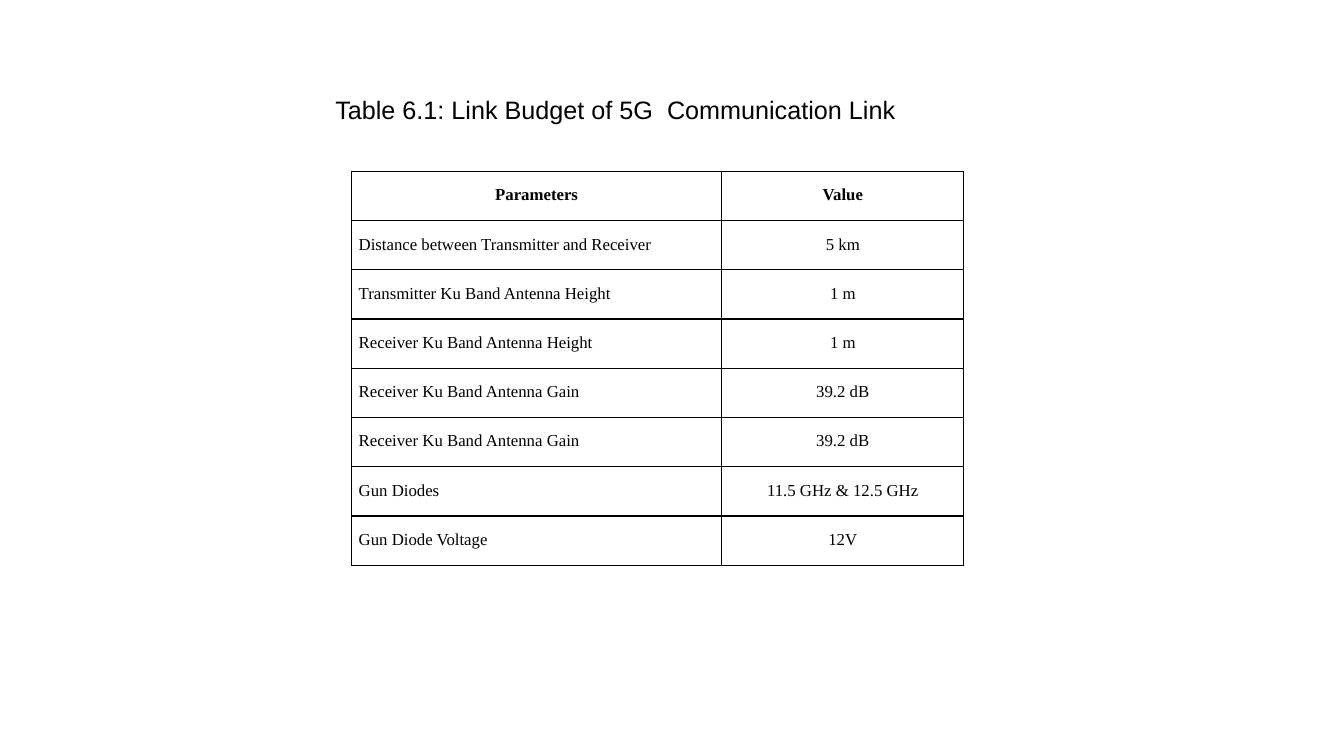
from lxml.etree import SubElement
from pptx import Presentation
from pptx.dml.color import RGBColor
from pptx.enum.text import MSO_ANCHOR, MSO_AUTO_SIZE, PP_ALIGN
from pptx.oxml.ns import qn
from pptx.util import Cm, Pt

COLORS = {"ink": "000000", "paper": "FFFFFF"}
LINK_BUDGET = [
    ("Parameters", "Value"),
    ("Distance between Transmitter and Receiver", "5 km"),
    ("Transmitter Ku Band Antenna Height", "1 m"),
    ("Receiver Ku Band Antenna Height", "1 m"),
    ("Receiver Ku Band Antenna Gain", "39.2 dB"),
    ("Receiver Ku Band Antenna Gain", "39.2 dB"),
    ("Gun Diodes", "11.5 GHz & 12.5 GHz"),
    ("Gun Diode Voltage", "12V"),
]


class SlideBuilder:
    caption_font, caption_size = "Arial", 18
    table_font, table_size = "Times New Roman", 12
    border_width = 1

    def __init__(self, slide):
        self.slide = slide

    def add_run(self, paragraph, text, font, size, bold=False):
        run = paragraph.add_run()
        run.text = text
        run.font.name = font
        run.font.size = Pt(size)
        run.font.bold = bold
        run.font.color.rgb = RGBColor.from_string(COLORS["ink"])

    def caption(self, text, left, top, width, height):
        box = self.slide.shapes.add_textbox(Cm(left), Cm(top), Cm(width), Cm(height))
        frame = box.text_frame
        frame.word_wrap = False
        frame.auto_size = MSO_AUTO_SIZE.SHAPE_TO_FIT_TEXT
        self.add_run(frame.paragraphs[0], text, self.caption_font, self.caption_size)

    def border(self, cell):
        # Borders come before the fill in the cell properties
        properties = cell._tc.get_or_add_tcPr()
        for side in ("a:lnL", "a:lnR", "a:lnT", "a:lnB"):
            line = SubElement(properties, qn(side), w=str(Pt(self.border_width)))
            fill = SubElement(line, qn("a:solidFill"))
            SubElement(fill, qn("a:srgbClr"), val=COLORS["ink"])

    def cell(self, cell, text, centered, bold):
        self.border(cell)
        cell.fill.solid()
        cell.fill.fore_color.rgb = RGBColor.from_string(COLORS["paper"])
        cell.margin_left = cell.margin_right = Cm(0.18)
        cell.margin_top = cell.margin_bottom = Cm(0.13)
        cell.vertical_anchor = MSO_ANCHOR.TOP
        paragraph = cell.text_frame.paragraphs[0]
        paragraph.alignment = PP_ALIGN.CENTER if centered else PP_ALIGN.LEFT
        paragraph.line_spacing = 1.5
        self.add_run(paragraph, text, self.table_font, self.table_size, bold)

    def table(self, rows, left, top, column_widths, row_height):
        table = self.slide.shapes.add_table(
            len(rows), len(column_widths), Cm(left), Cm(top),
            Cm(sum(column_widths)), Cm(row_height * len(rows))).table
        table.first_row = table.horz_banding = False
        for column, width in zip(table.columns, column_widths):
            column.width = Cm(width)
        for r, texts in enumerate(rows):
            table.rows[r].height = Cm(row_height)
            for c, text in enumerate(texts):
                header = r == 0
                self.cell(table.cell(r, c), text, header or c > 0, header)


def main():
    presentation = Presentation()
    presentation.slide_width, presentation.slide_height = Cm(33.87), Cm(19.05)
    builder = SlideBuilder(presentation.slides.add_slide(presentation.slide_layouts[6]))

    # Table caption
    builder.caption("Table 6.1: Link Budget of 5G  Communication Link", 8.2, 2.26, 14.63, 1.02)

    # Link budget table
    builder.table(LINK_BUDGET, 8.86, 4.32, (9.33, 6.1), 1.24)

    presentation.save("out.pptx")


if __name__ == "__main__":
    main()
